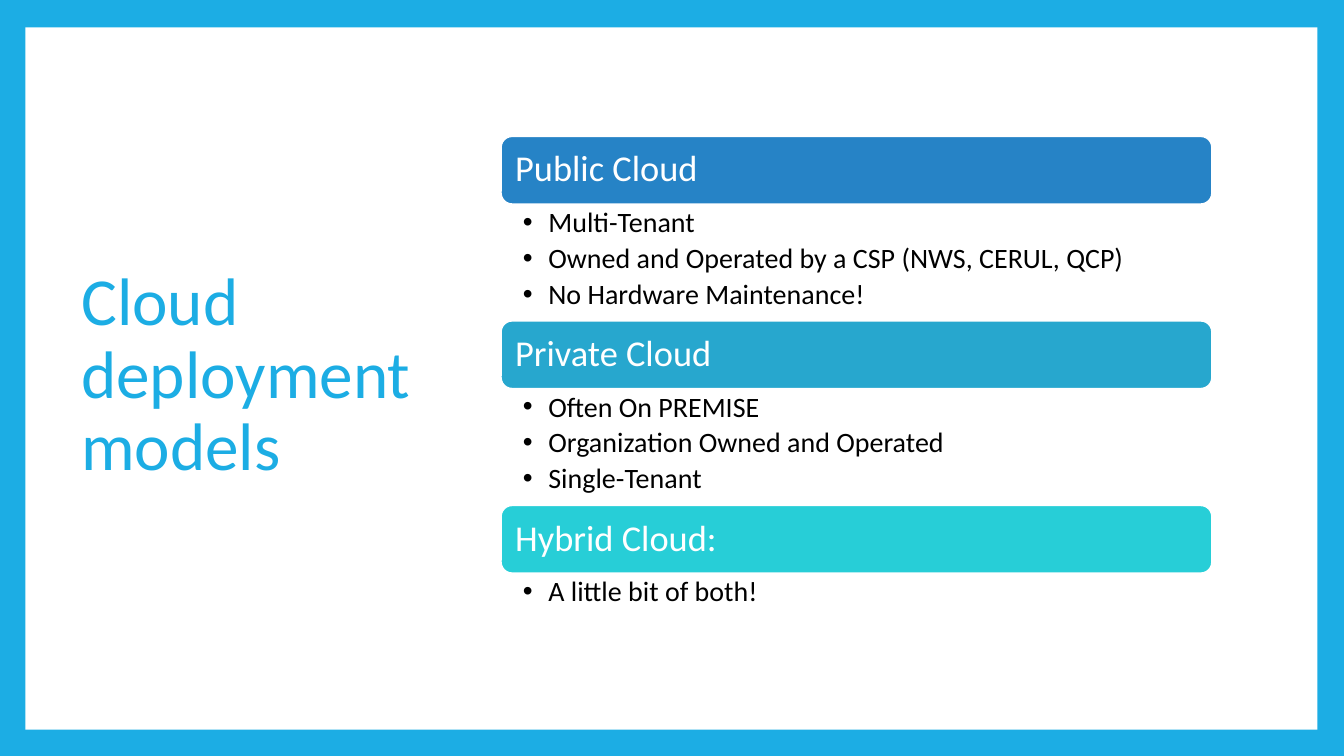
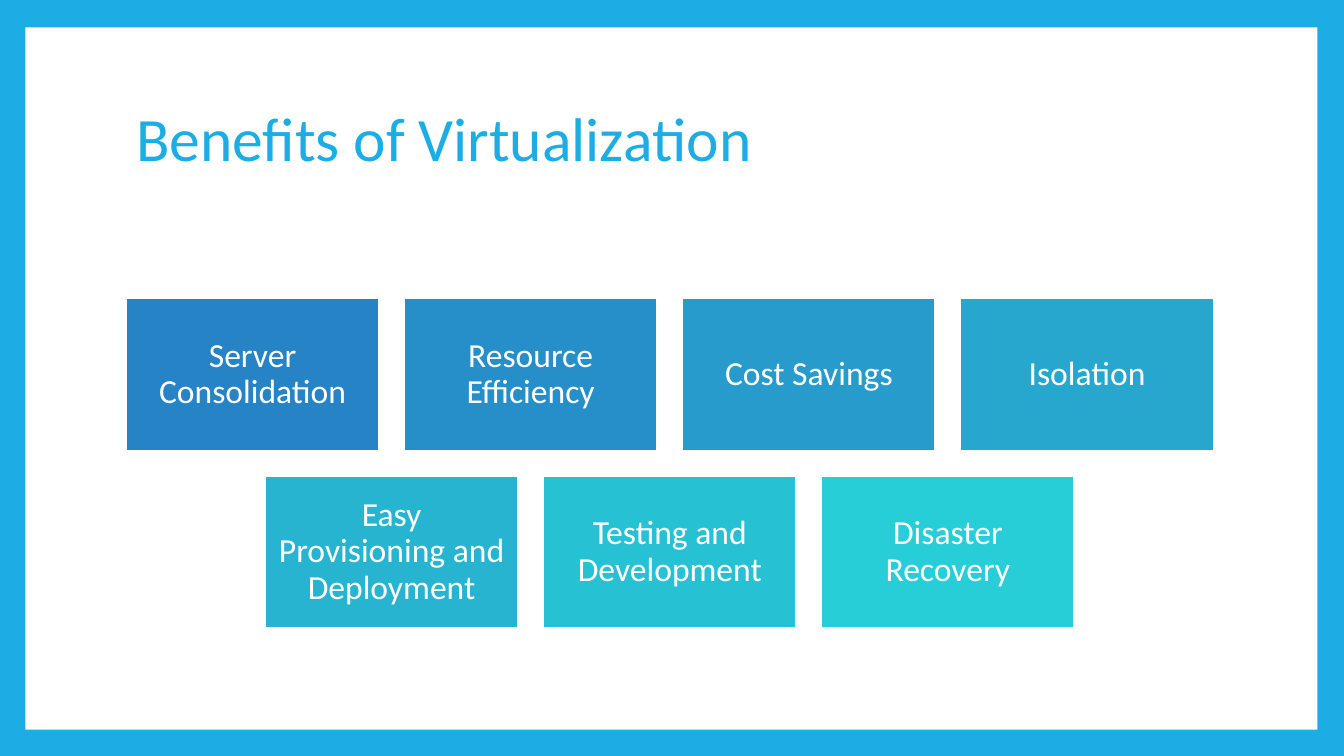
from dataclasses import dataclass

from lxml.etree import SubElement
from pptx import Presentation
from pptx.dml.color import RGBColor
from pptx.enum.shapes import MSO_SHAPE
from pptx.enum.text import MSO_ANCHOR, PP_ALIGN
from pptx.oxml.ns import qn
from pptx.presentation import Presentation as Deck
from pptx.shapes.autoshape import Shape
from pptx.slide import Slide
from pptx.text.text import TextFrame, _Paragraph
from pptx.util import Cm, Pt

FONT = "Calibri"
SKY = RGBColor(0x1C, 0xAD, 0xE4)
WHITE = RGBColor(0xFF, 0xFF, 0xFF)
BLACK = RGBColor(0x00, 0x00, 0x00)
BLUE = RGBColor(0x26, 0x83, 0xC6)
AZURE = RGBColor(0x26, 0x8F, 0xC9)
CERULEAN = RGBColor(0x26, 0x9B, 0xCC)
TEAL = RGBColor(0x27, 0xA7, 0xCE)
LAGOON = RGBColor(0x27, 0xB4, 0xD1)
AQUA = RGBColor(0x27, 0xC1, 0xD4)
TURQUOISE = RGBColor(0x27, 0xCE, 0xD7)

BAR_LEFT, BAR_TOP, BAR_WIDTH, BAR_HEIGHT = 12.62, 3.43, 17.93, 1.72
BAR_PITCH = 4.65
CARD_WIDTH, CARD_HEIGHT, CARD_GAP = 6.38, 3.84, 0.63
CARDS_CENTER, CARDS_TOP = 16.88, 7.52
CARDS_PER_ROW = 4


@dataclass(frozen=True)
class Box:
    left: float
    top: float
    width: float
    height: float

    def lengths(self) -> tuple[Cm, Cm, Cm, Cm]:
        return Cm(self.left), Cm(self.top), Cm(self.width), Cm(self.height)


@dataclass(frozen=True)
class CloudModel:
    name: str
    color: RGBColor
    points: tuple[str, ...]


@dataclass(frozen=True)
class Benefit:
    name: str
    color: RGBColor


MODELS = (
    CloudModel("Public Cloud", BLUE, (
        "Multi-Tenant",
        "Owned and Operated by a CSP (NWS, CERUL, QCP)",
        "No Hardware Maintenance!",
    )),
    CloudModel("Private Cloud", TEAL, (
        "Often On PREMISE",
        "Organization Owned and Operated",
        "Single-Tenant",
    )),
    CloudModel("Hybrid Cloud:", TURQUOISE, ("A little bit of both!",)),
)

BENEFITS = (
    Benefit("Server Consolidation", BLUE),
    Benefit("Resource Efficiency", AZURE),
    Benefit("Cost Savings", CERULEAN),
    Benefit("Isolation", TEAL),
    Benefit("Easy Provisioning and Deployment", LAGOON),
    Benefit("Testing and Development", AQUA),
    Benefit("Disaster Recovery", TURQUOISE),
)


def set_insets(frame: TextFrame, left: float, top: float, right: float, bottom: float) -> None:
    frame.word_wrap = True
    frame.margin_left, frame.margin_top = Cm(left), Cm(top)
    frame.margin_right, frame.margin_bottom = Cm(right), Cm(bottom)


def style_paragraph(paragraph: _Paragraph, size: int, color: RGBColor,
                    alignment: PP_ALIGN = PP_ALIGN.LEFT) -> None:
    paragraph.alignment = alignment
    paragraph.line_spacing = 0.9
    paragraph.font.name = FONT
    paragraph.font.size = Pt(size)
    paragraph.font.color.rgb = color


def add_bullet(paragraph: _Paragraph) -> None:
    properties = paragraph._p.get_or_add_pPr()
    properties.set("marL", str(Cm(0.64)))
    properties.set("indent", str(-Cm(0.64)))
    SubElement(properties, qn("a:buFont"), typeface="Arial")
    SubElement(properties, qn("a:buChar"), char="•")


def add_block(slide: Slide, kind: MSO_SHAPE, box: Box, color: RGBColor) -> Shape:
    shape = slide.shapes.add_shape(kind, *box.lengths())
    shape.shadow.inherit = False
    shape.fill.solid()
    shape.fill.fore_color.rgb = color
    shape.line.color.rgb = WHITE
    shape.line.width = Pt(1.5)
    return shape


def add_label(shape: Shape, text: str, size: int, inset: float, alignment: PP_ALIGN) -> None:
    frame = shape.text_frame
    set_insets(frame, inset, 0.25, inset, 0.25)
    frame.vertical_anchor = MSO_ANCHOR.MIDDLE
    frame.text = text
    style_paragraph(frame.paragraphs[0], size, WHITE, alignment)


def add_titled_slide(presentation: Deck, title: str, box: Box, size: int) -> Slide:
    slide = presentation.slides.add_slide(presentation.slide_layouts[6])
    panel = add_block(slide, MSO_SHAPE.RECTANGLE, Box(0.64, 0.69, 32.56, 17.7), WHITE)
    panel.line.fill.background()
    frame = slide.shapes.add_textbox(*box.lengths()).text_frame
    set_insets(frame, 0.25, 0.13, 0.25, 0.13)
    frame.vertical_anchor = MSO_ANCHOR.MIDDLE
    frame.text = title
    style_paragraph(frame.paragraphs[0], size, SKY)
    return slide


def add_points(slide: Slide, points: tuple[str, ...], box: Box) -> None:
    frame = slide.shapes.add_textbox(*box.lengths()).text_frame
    set_insets(frame, 0.56, 0.1, 0.51, 0.1)
    frame.text = "\n".join(points)
    for paragraph in frame.paragraphs:
        add_bullet(paragraph)
        paragraph.space_after = Pt(4)
        style_paragraph(paragraph, 20, BLACK)


def add_models_slide(presentation: Deck) -> None:
    slide = add_titled_slide(presentation, "Cloud deployment models",
                             Box(1.8, 1.7, 9.35, 15.57), 48)
    for index, model in enumerate(MODELS):
        top = BAR_TOP + index * BAR_PITCH
        bar = add_block(slide, MSO_SHAPE.ROUNDED_RECTANGLE,
                        Box(BAR_LEFT, top, BAR_WIDTH, BAR_HEIGHT), model.color)
        add_label(bar, model.name, 26, 0.28, PP_ALIGN.LEFT)
        points_height = 0.32 + 0.87 * len(model.points)
        add_points(slide, model.points,
                   Box(BAR_LEFT, top + BAR_HEIGHT, BAR_WIDTH, points_height))


def add_benefits_slide(presentation: Deck) -> None:
    slide = add_titled_slide(presentation, "Benefits of Virtualization",
                             Box(3.18, 1.7, 27.43, 3.76), 44)
    for start in range(0, len(BENEFITS), CARDS_PER_ROW):
        row = BENEFITS[start:start + CARDS_PER_ROW]
        row_width = len(row) * (CARD_WIDTH + CARD_GAP) - CARD_GAP
        top = CARDS_TOP + start // CARDS_PER_ROW * (CARD_HEIGHT + CARD_GAP)
        for column, benefit in enumerate(row):
            left = CARDS_CENTER - row_width / 2 + column * (CARD_WIDTH + CARD_GAP)
            card = add_block(slide, MSO_SHAPE.RECTANGLE,
                             Box(left, top, CARD_WIDTH, CARD_HEIGHT), benefit.color)
            add_label(card, benefit.name, 24, 0.25, PP_ALIGN.CENTER)


def main() -> None:
    presentation = Presentation()
    presentation.slide_width, presentation.slide_height = Cm(33.87), Cm(19.05)
    background = presentation.slide_master.background.fill
    background.solid()
    background.fore_color.rgb = SKY
    add_models_slide(presentation)
    add_benefits_slide(presentation)
    presentation.save("out.pptx")


if __name__ == "__main__":
    main()
